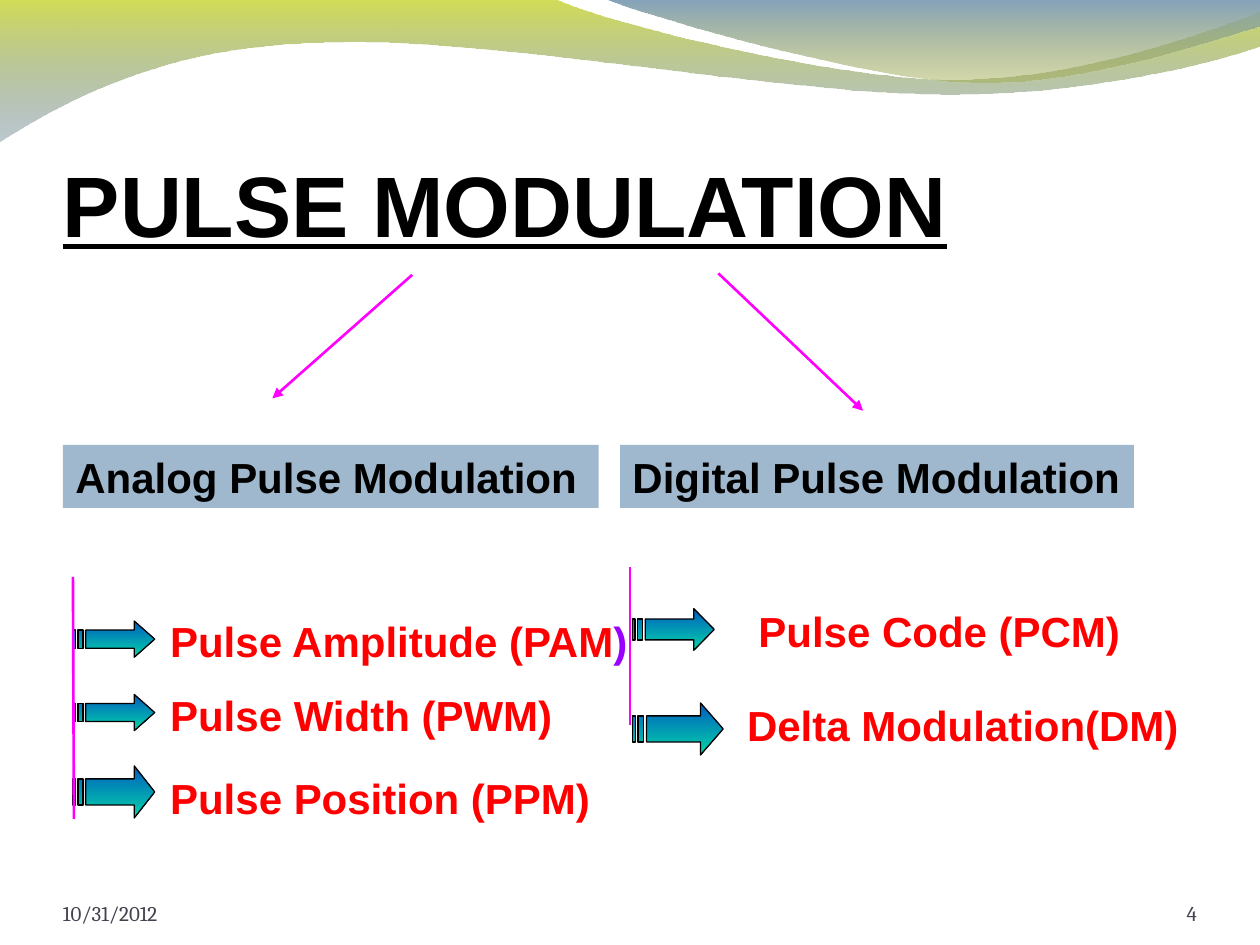
from lxml import etree
from pptx import Presentation
from pptx.dml.color import RGBColor
from pptx.enum.shapes import MSO_CONNECTOR, MSO_SHAPE
from pptx.enum.text import MSO_ANCHOR, PP_ALIGN
from pptx.oxml.ns import qn
from pptx.util import Cm, Pt

STRAIGHT = MSO_CONNECTOR.STRAIGHT
RECTANGLE = MSO_SHAPE.RECTANGLE
TOP, BOTTOM = MSO_ANCHOR.TOP, MSO_ANCHOR.BOTTOM
LEFT, RIGHT = PP_ALIGN.LEFT, PP_ALIGN.RIGHT

BLACK = RGBColor(0x00, 0x00, 0x00)
RED = RGBColor(0xFF, 0x00, 0x00)
PURPLE = RGBColor(0x99, 0x00, 0xFF)
MAGENTA = RGBColor(0xFF, 0x00, 0xFF)
GREY = RGBColor(0x42, 0x42, 0x4F)
PANEL = RGBColor(0x9F, 0xB8, 0xCD)
LIME = RGBColor(0xD2, 0xDD, 0x56)
SLATE = RGBColor(0x70, 0x87, 0x9A)
SKY = RGBColor(0x83, 0xA2, 0xBC)
OLIVE = RGBColor(0xA3, 0xAB, 0x4D)
BLUE = RGBColor(0x00, 0x5C, 0xBF)
TEAL = RGBColor(0x03, 0xD4, 0xA8)

LINE_H = 1.27
PADDING = (0.25, 0.13, 0, 0.13)

GREEN_WAVE = [
    [(-0.03, -0.03)],
    [(11.18, -0.03)],
    [(12.09, 0.43), (16.87, 1.6), (19.25, 1.6)],
    [(21.67, 1.6), (24.33, 0.66), (25.4, 0.23)],
    [(25.43, 0.91)],
    [(24.97, 1.12), (22.1, 1.93), (18.95, 1.9)],
    [(15.8, 1.9), (9.7, 0.71), (6.53, 0.86)],
    [(3.28, 0.89), (1.17, 2.11), (-0.03, 2.87)],
]
BLUE_WAVE = [
    [(12.17, -0.03)],
    [(12.93, 0.28), (17.32, 1.57), (19.53, 1.65)],
    [(21.74, 1.75), (24.41, 0.81), (25.4, 0.53)],
    [(25.4, 0)],
]

ARROW = [
    [(0.75, 0), (0.75, 0.25), (5 / 32, 0.25), (5 / 32, 0.75),
     (0.75, 0.75), (0.75, 1), (1, 0.5)],
    [(1 / 16, 0.25), (1 / 16, 0.75), (1 / 8, 0.75), (1 / 8, 0.25)],
    [(0, 0.25), (0, 0.75), (1 / 32, 0.75), (1 / 32, 0.25)],
]

HEADINGS = [
    ("Analog Pulse Modulation", 1.27, 10.8),
    ("Digital Pulse Modulation", 12.5, 10.36),
]
ITEMS = [
    ([("Pulse Amplitude (PAM", RED), (")", PURPLE)],
     (1.47, 12.52, 1.65, 0.73), (3.18, 12.27, 9.93)),
    ([("Pulse Width (PWM)", RED)],
     (1.47, 14, 1.65, 0.73), (3.18, 13.77, 8.66)),
    ([("Pulse Position (PPM)", RED)],
     (1.47, 15.44, 1.65, 1.05), (3.18, 15.44, 9.3)),
    ([("Pulse Code (PCM)", RED)],
     (12.75, 12.27, 1.65, 0.84), (15.04, 12.07, 8.26)),
    ([("Delta Modulation(DM)", RED)],
     (12.75, 14.17, 1.83, 1.05), (14.81, 13.97, 10.57)),
]
BRANCHES = [((8.31, 5.54), (5.49, 8.03)), ((14.48, 5.51), (17.4, 8.28))]
STEMS = [((1.47, 11.63), (1.49, 16.51)), ((12.7, 11.43), (12.7, 14.61))]


def add_text(shapes, text, box, *, size=24, font="Arial", color=BLACK, bold=True,
             underline=False, align=LEFT, anchor=TOP, insets=PADDING, fill=None):
    """Add a box of text, given as a string or as (text, colour) runs."""
    lengths = [Cm(v) for v in box]
    if fill is None:
        sp = shapes.add_textbox(*lengths)
    else:
        sp = shapes.add_shape(RECTANGLE, *lengths)
        sp.shadow.inherit = False
        sp.fill.solid()
        sp.fill.fore_color.rgb = fill
        sp.line.fill.background()
    tf = sp.text_frame
    tf.word_wrap = True
    tf.vertical_anchor = anchor
    tf.margin_left, tf.margin_top, tf.margin_right, tf.margin_bottom = map(Cm, insets)
    p = tf.paragraphs[0]
    p.alignment = align
    for part, tone in [(text, color)] if isinstance(text, str) else text:
        r = p.add_run()
        r.text = part
        r.font.name = font
        r.font.size = Pt(size)
        r.font.bold = bold
        r.font.underline = underline
        r.font.color.rgb = tone


def add_outline(shapes, contours, colors, *, opacity=None, line=None):
    """Add closed contours, in cm, filled with a vertical gradient."""
    contours = [[(Cm(x), Cm(y)) for x, y in points] for points in contours]
    builder = shapes.build_freeform(*contours[0][0], scale=1.0)
    for i, points in enumerate(contours):
        if i:
            builder.move_to(*points[0])
        builder.add_line_segments(points[1:], close=True)
    sp = builder.convert_to_shape()
    sp.shadow.inherit = False
    sp.fill.gradient()
    sp.fill.gradient_angle = 270
    for stop, color in zip(sp.fill.gradient_stops, colors):
        stop.color.rgb = color
    if opacity is not None:
        last = sp._element.spPr.findall(".//" + qn("a:srgbClr"))[-1]
        etree.SubElement(last, qn("a:alpha")).set("val", str(opacity * 1000))
    if line is None:
        sp.line.fill.background()
    else:
        sp.line.color.rgb = line
        sp.line.width = Pt(0.75)


def trace(segments, steps=24):
    """Return the points along straight and cubic segments."""
    points = list(segments[0])
    for segment in segments[1:]:
        if len(segment) == 1:
            points += segment
            continue
        controls = [points[-1], *segment]
        for t in (i / steps for i in range(1, steps + 1)):
            weights = ((1 - t) ** 3, 3 * t * (1 - t) ** 2, 3 * t * t * (1 - t), t ** 3)
            points.append(tuple(sum(w * c[k] for w, c in zip(weights, controls))
                                for k in (0, 1)))
    return points


def add_line(s, start, end, *, head=False):
    """Add a magenta line, with an arrowhead at its end if asked."""
    c = s.shapes.add_connector(STRAIGHT, *(Cm(v) for v in start + end))
    c.line.color.rgb = MAGENTA
    c.line.width = Pt(1.5)
    if head:
        etree.SubElement(c.line._get_or_add_ln(), qn("a:tailEnd")).set("type", "triangle")
    etree.SubElement(c._element.spPr, qn("a:effectLst"))


def add_item(s, runs, arrow, label):
    """Add a striped arrow grouped with its label."""
    x, y, w, h = arrow
    group = s.shapes.add_group_shape()
    contours = [[(x + w * u, y + h * v) for u, v in part] for part in ARROW]
    add_outline(group.shapes, contours, (BLUE, TEAL), line=BLACK)
    add_text(group.shapes, runs, (*label, LINE_H))


def main():
    """Build the slide and save it."""
    prs = Presentation()
    prs.slide_width, prs.slide_height = Cm(25.4), Cm(19.05)
    s = prs.slides.add_slide(prs.slide_layouts[6])
    add_outline(s.shapes, [trace(GREEN_WAVE)], (LIME, SLATE), opacity=45)
    add_outline(s.shapes, [trace(BLUE_WAVE)], (SKY, OLIVE), opacity=45)
    add_text(s.shapes, "PULSE MODULATION", (1.27, 0.86, 22.86, 4.27), size=49,
             underline=True, anchor=BOTTOM, insets=(0, 0.13, 0, 0))
    for start, end in BRANCHES:
        add_line(s, start, end, head=True)
    for text, x, w in HEADINGS:
        add_text(s.shapes, text, (x, 8.97, w, LINE_H), fill=PANEL)
    for item in ITEMS:
        add_item(s, *item)
    for start, end in STEMS:
        add_line(s, start, end)
    footer = dict(size=12, font="Cambria", color=GREY, bold=False,
                  anchor=BOTTOM, insets=(0, 0, 0, 0))
    add_text(s.shapes, "4", (22.02, 17.65, 2.11, 1.02), align=RIGHT, **footer)
    add_text(s.shapes, "10/31/2012", (1.27, 17.65, 5.92, 1.02), **footer)
    prs.save("out.pptx")


if __name__ == "__main__":
    main()
